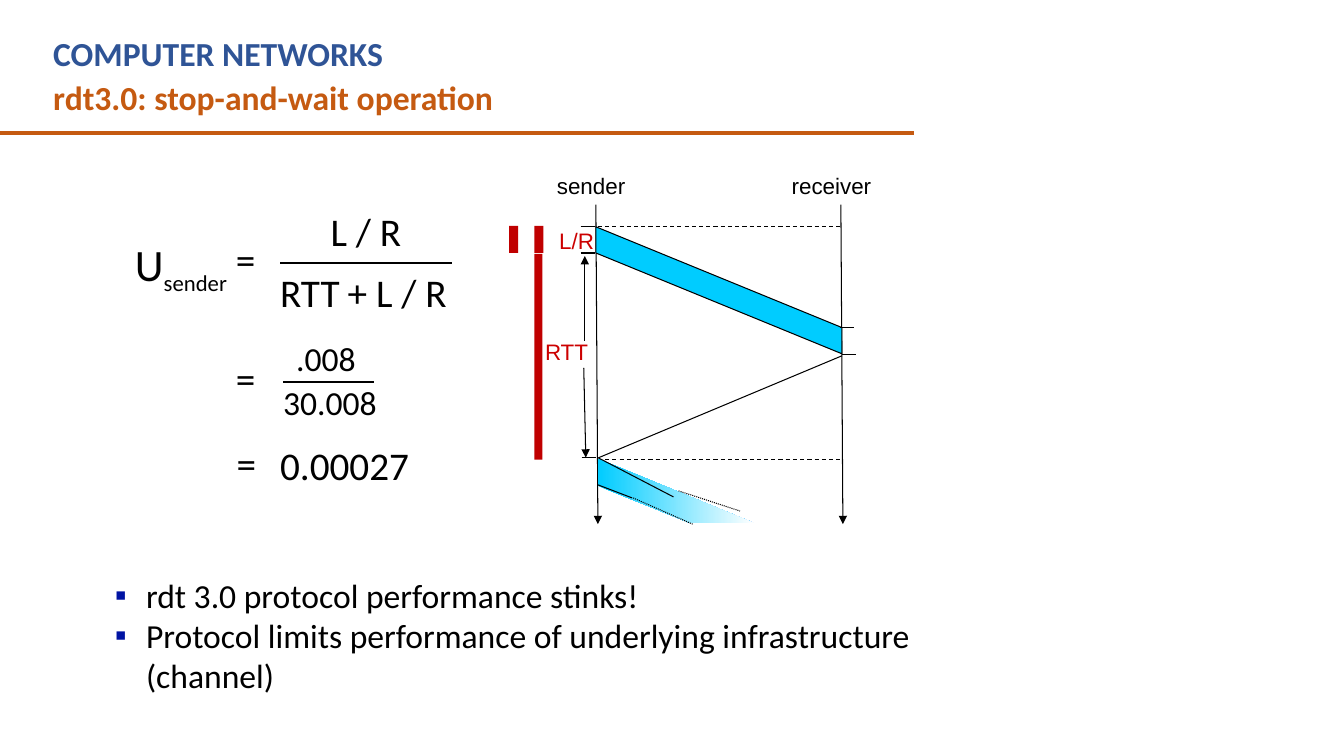
from lxml import etree
from pptx import Presentation
from pptx.dml.color import RGBColor
from pptx.enum.dml import MSO_LINE_DASH_STYLE as DASH
from pptx.enum.shapes import MSO_CONNECTOR, MSO_SHAPE
from pptx.enum.text import PP_ALIGN as ALIGN
from pptx.oxml.ns import qn
from pptx.util import Inches, Pt

COLORS = {
    "blue": "2F5496", "orange": "C55A11", "black": "000000", "white": "FFFFFF",
    "cyan": "00CCFF", "red": "CC0000", "bar": "C00000", "bullet": "0013A3",
}


def color(name):
    """Return the named colour."""
    return RGBColor.from_string(COLORS[name])


def style_run(run, size, ink="black", font="Calibri", bold=False):
    """Set the font of a run."""
    run.font.name, run.font.size, run.font.bold = font, Pt(size), bold
    run.font.color.rgb = color(ink)


def add_text(slide, box, text, size, ink="black", font="Calibri", bold=False, align=ALIGN.LEFT):
    """Add a wrapping text box and return its text frame."""
    frame = slide.shapes.add_textbox(*map(Inches, box)).text_frame
    frame.word_wrap = True
    frame.text = text
    for paragraph in frame.paragraphs:
        paragraph.alignment = align
        style_run(paragraph.runs[0], size, ink, font, bold)
    return frame


def add_line(slide, start, end, width=0.75, ink="black", dash=None, arrow=False):
    """Draw a straight line, dashed or with an arrowhead if asked."""
    line = slide.shapes.add_connector(MSO_CONNECTOR.STRAIGHT, *map(Inches, (*start, *end)))
    line.line.width = Pt(width)
    line.line.color.rgb = color(ink)
    if dash:
        line.line.dash_style = dash
    if arrow:
        etree.SubElement(line.line._get_or_add_ln(), qn("a:tailEnd"), type="triangle")
    etree.SubElement(line._element.spPr, qn("a:effectLst"))


def add_rectangle(slide, box, fill):
    """Add a plain filled rectangle."""
    shape = slide.shapes.add_shape(MSO_SHAPE.RECTANGLE, *map(Inches, box))
    shape.shadow.inherit = False
    shape.fill.solid()
    shape.fill.fore_color.rgb = color(fill)
    shape.line.fill.background()
    return shape


def add_outline(slide, points):
    """Add a closed polygon through the points."""
    corners = [(Inches(x), Inches(y)) for x, y in points]
    builder = slide.shapes.build_freeform(*corners[0], scale=1.0)
    builder.add_line_segments(corners[1:], close=True)
    shape = builder.convert_to_shape()
    shape.shadow.inherit = False
    return shape


def add_header(slide, left, top):
    """Add the course name, the slide title and the rule below."""
    add_text(slide, (left, top, 8.2, 0.5), "COMPUTER NETWORKS", 24, "blue", bold=True)
    add_text(slide, (left, top + 0.43, 9.63, 0.5), "rdt3.0: stop-and-wait operation", 24, "orange", bold=True)
    add_line(slide, (0, top + 1.04), (9.07, top + 1.04), 3, "orange")


def add_timelines(slide, left, top):
    """Add the labelled sender and receiver time axes."""
    axes = (("sender", 0, -0.58, 0.97), ("receiver", 2.43, 1.8, 1.03))
    for name, offset, label_offset, width in axes:
        x = left + offset
        add_line(slide, (x, top + 0.37), (x + 0.02, top + 3.55), arrow=True)
        label = add_rectangle(slide, (left + label_offset, top, width, 0.38), "white")
        label.text_frame.text = name
        paragraph = label.text_frame.paragraphs[0]
        paragraph.alignment = ALIGN.RIGHT
        style_run(paragraph.runs[0], 16, font="Arial")


def add_packets(slide, left, top):
    """Add the first packet, its acknowledgement and the fading next packet."""
    right, repeat = left + 2.44, top + 2.3
    for y in (top, top + 2.31):
        add_line(slide, (left + 0.02, y), (right - 0.01, y), dash=DASH.DASH)
    add_line(slide, (left + 0.03, top + 2.29), (right, top + 1.28))
    packet = add_outline(slide, [(left, top), (right, top + 1), (right, top + 1.26), (left, top + 0.26)])
    packet.fill.solid()
    packet.fill.fore_color.rgb = color("cyan")
    packet.line.color.rgb = color("black")
    packet.line.width = Pt(0.75)
    for x, y in ((5.76, top), (5.76, top + 0.26), (5.77, top + 2.29), (8.33, top + 1), (8.35, top + 1.27)):
        add_line(slide, (x, y), (x + 0.14, y))

    x = left + 0.02
    fading = add_outline(slide, [(x, repeat), (x + 1.55, repeat + 0.64), (x + 0.92, repeat + 0.64), (x, repeat + 0.27)])
    fading.fill.gradient()
    fading.fill.gradient_angle = 0
    for stop, name, position in zip(fading.fill.gradient_stops, ("cyan", "white"), (0, 1)):
        stop.color.rgb = color(name)
        stop.position = position
    fading.line.fill.background()
    add_line(slide, (x, 4.54), (6.68, 4.93))
    add_line(slide, (6.73, 4.87), (7.34, 5.07), dash=DASH.ROUND_DOT)
    add_line(slide, (x, 4.81), (6.27, 4.94))
    add_line(slide, (6.28, 4.94), (6.87, 5.2), dash=DASH.ROUND_DOT)


def add_durations(slide, left, top):
    """Add the red bars and labels for transmission time and round trip."""
    for x, y, width, height in ((0, 0, 0.09, 0.27), (0.25, 0, 0.09, 0.27), (0.25, 0.28, 0.08, 2.04)):
        add_rectangle(slide, (left + x, top + y, width, height), "bar")
    for text, x, y, width in (("L/R", 0.01, -0.04, 0.93), ("RTT", -0.01, 1.07, 0.89)):
        add_text(slide, (left + x, top + y, width, 0.37), text, 16, "red", "Arial", align=ALIGN.RIGHT)
    add_line(slide, (left + 0.74, top + 1.41), (left + 0.76, top + 2.3), arrow=True)
    add_line(slide, (left + 0.75, top + 1.14), (left + 0.75, top + 0.3), arrow=True)


def add_formula(slide, left, top):
    """Add the sender utilization worked out in three steps."""
    frame = add_text(slide, (left, top + 0.29, 1.22, 0.64), "U", 32)
    subscript = frame.paragraphs[0].add_run()
    subscript.text = "sender"
    style_run(subscript, 28)
    subscript.font._element.set("baseline", "-25000")
    terms = (
        ("=", 1, 0.28, 0.4, 28), ("L / R", 1.94, 0, 0.93, 28),
        ("RTT", 1.44, 0.6, 0.8, 28), ("+ L / R", 2.11, 0.6, 1.2, 28),
        ("=", 1, 1.46, 0.4, 28), (".008", 1.6, 1.29, 0.8, 24), ("30.008", 1.47, 1.73, 1.14, 24),
        ("=", 1.01, 2.3, 0.4, 28), ("0.00027", 1.44, 2.32, 1.5, 28),
    )
    for text, x, y, width, size in terms:
        add_text(slide, (left + x, top + y, width, size * 0.02), text, size)
    for x, y, length, width in ((1.54, 0.6, 1.7, 1.75), (1.57, 1.78, 0.9, 1.5)):
        add_line(slide, (left + x, top + y), (left + x + length, top + y), width)


def add_conclusions(slide, box):
    """Add the bulleted conclusions."""
    text = ("rdt 3.0 protocol performance stinks!\n"
            "Protocol limits performance of underlying infrastructure (channel)")
    for paragraph in add_text(slide, box, text, 24).paragraphs:
        properties = paragraph._p.get_or_add_pPr()
        properties.set("marL", str(Inches(0.31)))
        properties.set("indent", str(-Inches(0.31)))
        bullet_color = etree.SubElement(properties, qn("a:buClr"))
        etree.SubElement(bullet_color, qn("a:srgbClr"), val=COLORS["bullet"])
        etree.SubElement(properties, qn("a:buFont"), typeface="Arial")
        etree.SubElement(properties, qn("a:buChar"), char="▪")


def main():
    """Build and save the slide."""
    presentation = Presentation()
    presentation.slide_width, presentation.slide_height = Inches(13.33), Inches(7.5)
    slide = presentation.slides.add_slide(presentation.slide_layouts[6])
    add_header(slide, 0.43, 0.28)
    add_timelines(slide, 5.91, 1.65)
    add_packets(slide, 5.91, 2.25)
    add_durations(slide, 5.05, 2.24)
    add_formula(slide, 1.24, 2.01)
    add_conclusions(slide, (1.04, 5.65, 8.62, 1.31))
    presentation.save("out.pptx")


if __name__ == "__main__":
    main()
